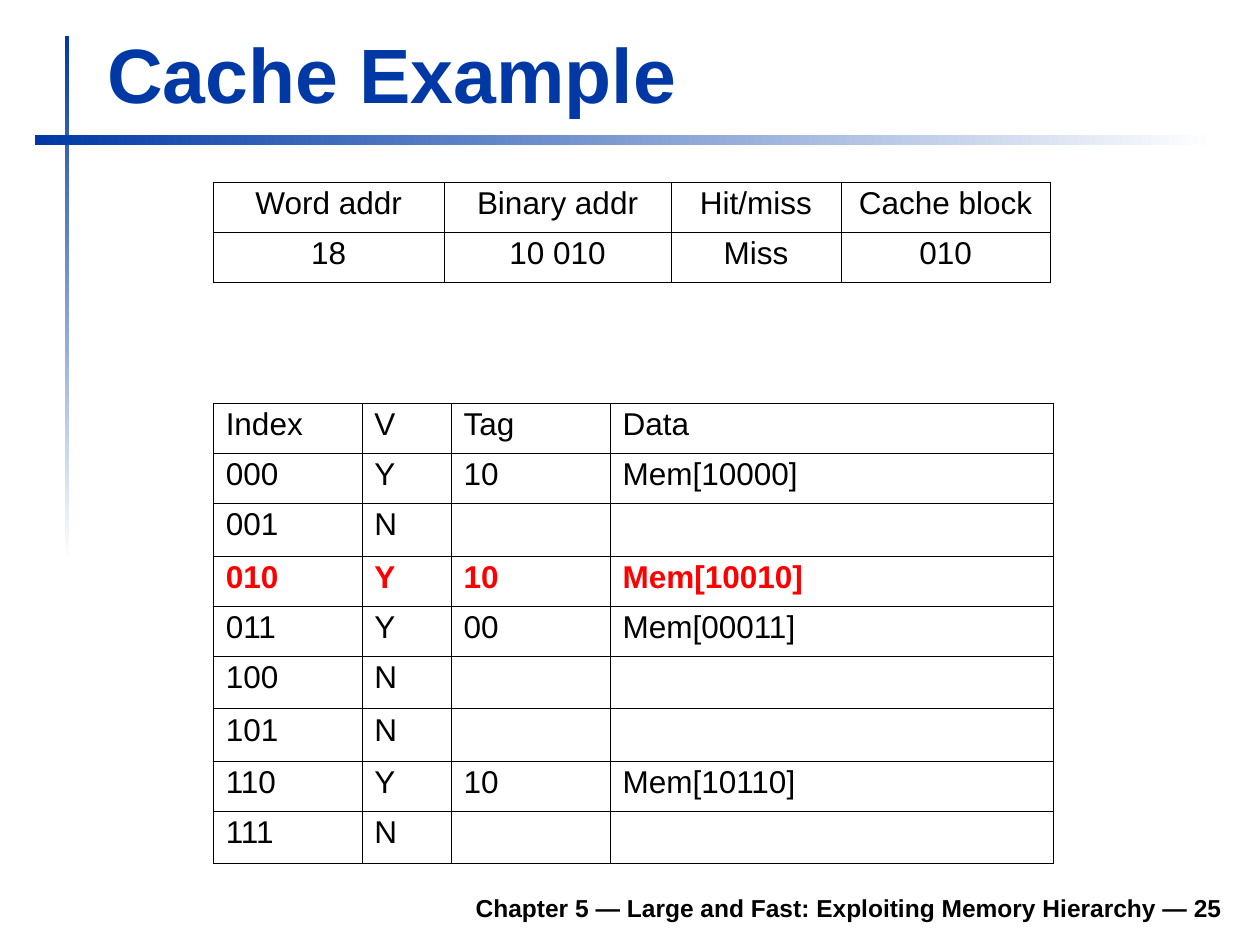
from lxml.etree import SubElement
from pptx import Presentation
from pptx.dml.color import RGBColor
from pptx.enum.shapes import MSO_SHAPE
from pptx.enum.text import MSO_ANCHOR, MSO_AUTO_SIZE, PP_ALIGN
from pptx.oxml.ns import qn
from pptx.util import Pt

COLORS = {"blue": "0039A6", "white": "FFFFFF", "black": "000000", "red": "FF0000"}
OUTER, UNDER_HEADER, INNER = 0.5, 0.34, 0.23  # table rule widths


def style_text(paragraph, size, color, bold=False, align=PP_ALIGN.LEFT):
    paragraph.alignment = align
    for run in paragraph.runs:
        run.font.name = "Arial"
        run.font.size = Pt(size)
        run.font.bold = bold
        run.font.color.rgb = RGBColor.from_string(COLORS[color])


def add_grid(left, top, col_widths, row_heights, rows, align, hit_row=None):
    grid = slide.shapes.add_table(
        len(rows), len(col_widths), Pt(left), Pt(top),
        Pt(sum(col_widths)), Pt(sum(row_heights))).table
    grid.first_row = grid.horz_banding = False
    for column, width in zip(grid.columns, col_widths):
        column.width = Pt(width)
    last_row, last_col = len(rows) - 1, len(col_widths) - 1
    for r, values in enumerate(rows):
        grid.rows[r].height = Pt(row_heights[r])
        for c, value in enumerate(values):
            cell = grid.cell(r, c)
            cell.text = value
            paragraph = cell.text_frame.paragraphs[0]
            paragraph.line_spacing = 0.93
            is_hit = r == hit_row
            style_text(paragraph, 18, "red" if is_hit else "black", is_hit, align)
            rules = {
                "a:lnL": OUTER if c == 0 else INNER,
                "a:lnR": OUTER if c == last_col else INNER,
                "a:lnT": {0: OUTER, 1: UNDER_HEADER}.get(r, INNER),
                "a:lnB": OUTER if r == last_row else UNDER_HEADER if r == 0 else INNER,
            }
            cell_props = cell._tc.get_or_add_tcPr()
            for side, width in rules.items():
                line = SubElement(cell_props, qn(side), w=str(Pt(width)))
                line_fill = SubElement(line, qn("a:solidFill"))
                SubElement(line_fill, qn("a:srgbClr"), val=COLORS["black"])
            cell.fill.background()


prs = Presentation()
prs.slide_width, prs.slide_height = Pt(720), Pt(540)
slide = prs.slides.add_slide(prs.slide_layouts[5])

# Fading vertical and horizontal bars
for left, top, width, height, angle in [(36.9, 20.4, 2.6, 300, 270),
                                        (19.8, 77, 674.6, 5.8, 0)]:
    bar = slide.shapes.add_shape(MSO_SHAPE.RECTANGLE, Pt(left), Pt(top),
                                 Pt(width), Pt(height))
    bar.shadow.inherit = False
    bar.line.fill.background()
    bar.fill.gradient()
    bar.fill.gradient_angle = angle
    for stop, color in zip(bar.fill.gradient_stops, ("blue", "white")):
        stop.color.rgb = RGBColor.from_string(COLORS[color])

# Title
title = slide.shapes.title
title.left, title.top, title.width, title.height = Pt(54), Pt(11.5), Pt(650), Pt(59.8)
title.text_frame.text = "Cache Example"
title.text_frame.auto_size = MSO_AUTO_SIZE.NONE
title.text_frame.vertical_anchor = MSO_ANCHOR.BOTTOM
style_text(title.text_frame.paragraphs[0], 44, "blue", bold=True)

# Footer
footer = slide.shapes.add_textbox(Pt(133.2), Pt(502.6), Pt(572.4), Pt(28))
footer.text_frame.word_wrap = True
footer.text_frame.vertical_anchor = MSO_ANCHOR.BOTTOM
footer.text_frame.text = "Chapter 5 — Large and Fast: Exploiting Memory Hierarchy — 25"
style_text(footer.text_frame.paragraphs[0], 14, "black", bold=True, align=PP_ALIGN.RIGHT)

# Cache contents: rows without data are slightly taller
cache_rows = [
    ("Index", "V", "Tag", "Data"),
    ("000", "Y", "10", "Mem[10000]"),
    ("001", "N", "", ""),
    ("010", "Y", "10", "Mem[10010]"),
    ("011", "Y", "00", "Mem[00011]"),
    ("100", "N", "", ""),
    ("101", "N", "", ""),
    ("110", "Y", "10", "Mem[10110]"),
    ("111", "N", "", ""),
]
cache_heights = [28.6 if row[-1] else 30.1 for row in cache_rows]
add_grid(121.8, 230.4, [85, 51, 90.8, 253.2], cache_heights, cache_rows,
         PP_ALIGN.LEFT, hit_row=3)

# Memory access
access_rows = [
    ("Word addr", "Binary addr", "Hit/miss", "Cache block"),
    ("18", "10 010", "Miss", "010"),
]
add_grid(121.8, 104, [132, 129.6, 97.2, 119.4], [28.8, 28.8], access_rows,
         PP_ALIGN.CENTER)

prs.save("out.pptx")
